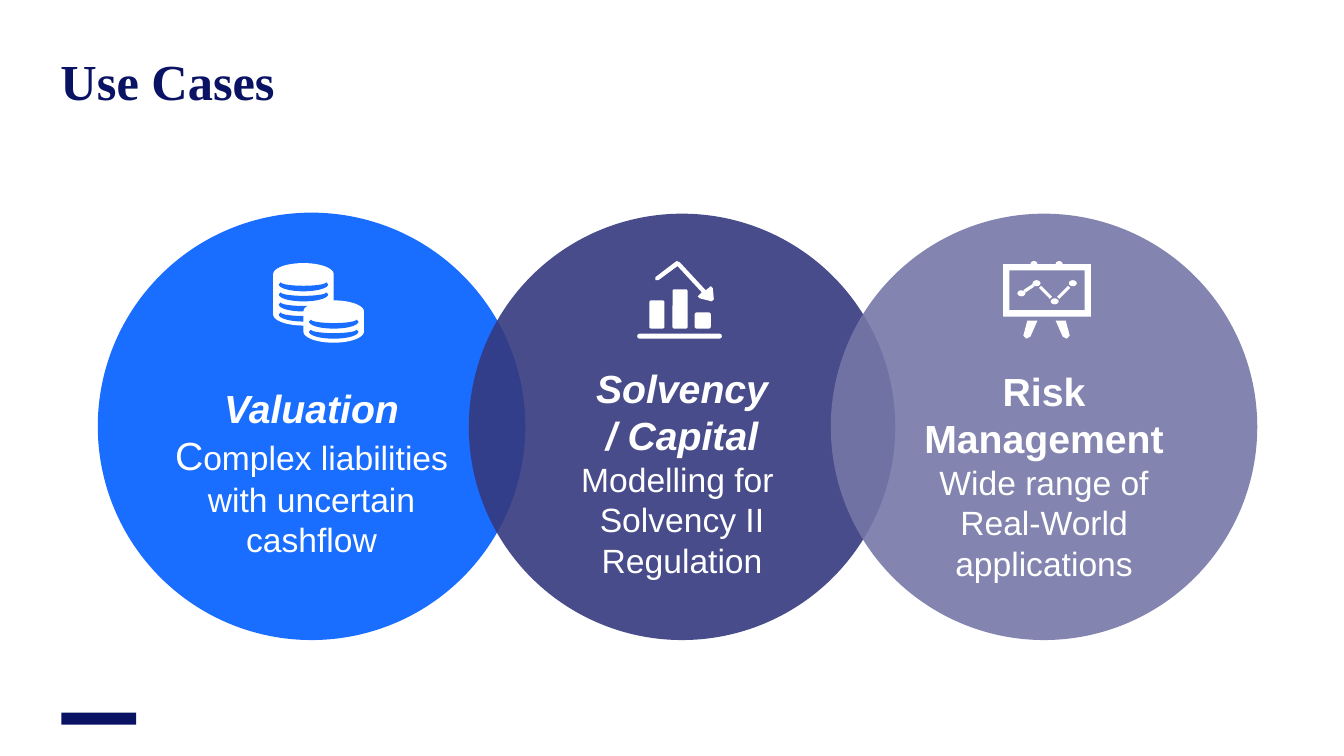
from math import cos, pi, sin

from lxml.etree import SubElement
from pptx import Presentation
from pptx.dml.color import RGBColor
from pptx.enum.shapes import MSO_CONNECTOR, MSO_SHAPE
from pptx.enum.text import MSO_ANCHOR, MSO_AUTO_SIZE, PP_ALIGN
from pptx.oxml.ns import qn
from pptx.util import Inches, Pt

NAVY, WHITE, COIN_GAP = "0A1264", "FFFFFF", "1A6EFF"


def colour(value):
    """Turn a hex string into a colour."""
    return RGBColor.from_string(value)


def arc(cx, cy, rx, ry, start, end, steps=24):
    """List points along an ellipse between two angles in radians."""
    angles = [start + (end - start) * step / steps for step in range(steps + 1)]
    return [(cx + rx * cos(angle), cy + ry * sin(angle)) for angle in angles]


class SlideBuilder:
    """Draw styled elements on the current slide."""

    def __init__(self, page):
        """Keep the page and the fonts."""
        self.page = page
        self.heading_font = "Times New Roman"
        self.body_font = "Arial"

    def title(self, text):
        """Place and format the title placeholder."""
        box = self.page.shapes.title
        box.left, box.top = Inches(0.6), Inches(0.6)
        box.width, box.height = Inches(12.13), Inches(0.48)
        frame = box.text_frame
        frame.text = text
        frame.auto_size = MSO_AUTO_SIZE.NONE
        frame.vertical_anchor = MSO_ANCHOR.TOP
        frame.margin_left = frame.margin_right = 0
        frame.margin_top = frame.margin_bottom = 0
        para = frame.paragraphs[0]
        para.alignment = PP_ALIGN.LEFT
        para.line_spacing = Pt(36)
        self.style(para.runs[0], 36, True, False, self.heading_font, NAVY)

    def style(self, span, size, bold, italic, font, fill):
        """Format one run."""
        span.font.name, span.font.size = font, Pt(size)
        span.font.bold, span.font.italic = bold, italic
        span.font.color.rgb = colour(fill)

    def paint(self, shape, fill):
        """Give a shape a flat fill."""
        shape.shadow.inherit = False
        shape.fill.solid()
        shape.fill.fore_color.rgb = colour(fill)
        shape.line.fill.background()
        return shape

    def shape(self, kind, left, top, width, height, fill=WHITE):
        """Add a preset shape."""
        box = self.page.shapes.add_shape(
            kind, Inches(left), Inches(top), Inches(width), Inches(height))
        return self.paint(box, fill)

    def outline(self, points, fill=WHITE):
        """Add a filled closed outline."""
        corners = [(Inches(x), Inches(y)) for x, y in points]
        builder = self.page.shapes.build_freeform(*corners[0], scale=1.0)
        builder.add_line_segments(corners[1:], close=True)
        return self.paint(builder.convert_to_shape(), fill)

    def line(self, x1, y1, x2, y2):
        """Add a thin white line."""
        link = self.page.shapes.add_connector(
            MSO_CONNECTOR.STRAIGHT, Inches(x1), Inches(y1), Inches(x2), Inches(y2))
        link.line.color.rgb = colour(WHITE)
        link.line.width = Pt(2.25)
        SubElement(link.element.spPr, qn("a:effectLst"))

    def circle(self, left, top, size, fill, inset, paragraphs):
        """Add a translucent circle with centred text."""
        disc = self.shape(MSO_SHAPE.OVAL, left, top, size, size, fill)
        tint = disc.element.spPr.find(qn("a:solidFill"))[0]
        SubElement(tint, qn("a:alpha"), val="90000")
        frame = disc.text_frame
        frame.word_wrap = True
        frame.vertical_anchor = MSO_ANCHOR.MIDDLE
        frame.margin_left = frame.margin_right = Inches(0.09)
        frame.margin_top, frame.margin_bottom = Inches(inset), Inches(0.04)
        for index, spans in enumerate(paragraphs):
            para = frame.add_paragraph() if index else frame.paragraphs[0]
            para.alignment = PP_ALIGN.CENTER
            for text, size, bold, italic in spans:
                span = para.add_run()
                span.text = text
                self.style(span, size, bold, italic, self.body_font, WHITE)

    def coin_stack(self, cx, top, bottom, gaps):
        """Draw a stack of coins separated by curved gaps."""
        self.outline(arc(cx, top, 0.3, 0.11, pi, 2 * pi)
                     + arc(cx, bottom, 0.3, 0.11, 0, pi))
        for y in gaps:
            self.outline(arc(cx, y - 0.02, 0.225, 0.035, pi, 0)
                         + arc(cx, y, 0.245, 0.07, 0, pi), COIN_GAP)

    def falling_chart(self):
        """Draw bars on a base line under a falling arrow."""
        bars = [(6.32, 3.31, 0.84, 0.05, 0.5), (6.44, 2.98, 0.15, 0.28, 0.12),
                (6.67, 2.87, 0.15, 0.39, 0.12), (6.89, 3.1, 0.16, 0.16, 0.12)]
        for left, top, width, height, rounding in bars:
            bar = self.shape(MSO_SHAPE.ROUNDED_RECTANGLE, left, top, width, height)
            bar.adjustments[0] = rounding
        self.outline([(6.53, 2.78), (6.72, 2.64), (6.96, 2.9), (6.92, 2.94),
                      (6.94, 2.96), (7.06, 2.99), (7.08, 2.97), (7.07, 2.86),
                      (7.05, 2.84), (7, 2.88), (6.74, 2.6), (6.71, 2.59),
                      (6.5, 2.75), (6.5, 2.78)])

    def board(self):
        """Draw a presentation board with a line of dots."""
        frame = self.shape(MSO_SHAPE.FRAME, 9.95, 2.62, 0.87, 0.52)
        frame.adjustments[0] = 0.12
        for left in (10.22, 10.47):
            self.shape(MSO_SHAPE.OVAL, left, 2.59, 0.07, 0.06)
        middle = 10.38
        for side in (-1, 1):
            leg = [(0.09, 3.18), (0.19, 3.18), (0.23, 3.33), (0.2, 3.36), (0.16, 3.34)]
            self.outline([(middle + side * x, y) for x, y in leg])
        dots = [(10.13, 2.91), (10.28, 2.81), (10.46, 2.99), (10.64, 2.81)]
        for x, y in dots:
            self.shape(MSO_SHAPE.OVAL, x - 0.04, y - 0.03, 0.08, 0.06)
        for (x1, y1), (x2, y2) in zip(dots, dots[1:]):
            dx, dy = 0.2 * (x2 - x1), 0.2 * (y2 - y1)
            self.line(x1 + dx, y1 + dy, x2 - dx, y2 - dy)


def main():
    """Build and save the slide."""
    deck = Presentation()
    deck.slide_width, deck.slide_height = Inches(13.33), Inches(7.5)
    builder = SlideBuilder(deck.slides.add_slide(deck.slide_layouts[5]))
    builder.title("Use Cases")
    builder.shape(MSO_SHAPE.RECTANGLE, 0.61, 7.07, 0.74, 0.12, NAVY)
    builder.circle(0.97, 2.11, 4.24, "005EFF", 0.94, [
        [("Valuation ", 28, True, True), ("C", 28, False, False),
         ("omplex liabilities with uncertain cashflow", 24, False, False)]])
    builder.circle(4.65, 2.12, 4.23, "35397E", 0.94, [
        [("Solvency", 28, True, True)],
        [("/ Capital ", 28, True, True), ("Modelling for ", 24, False, False)],
        [("Solvency II Regulation", 24, False, False)]])
    builder.circle(8.24, 2.12, 4.23, "7677A7", 1, [
        [("Risk Management", 28, True, False)],
        [("Wide range of Real-World applications", 24, False, False)]])
    builder.coin_stack(3.01, 2.72, 3.12, [2.82, 2.92, 3.02, 3.12])
    builder.coin_stack(3.31, 3.09, 3.29, [3.19, 3.29])
    builder.falling_chart()
    builder.board()
    deck.save("out.pptx")


if __name__ == "__main__":
    main()
